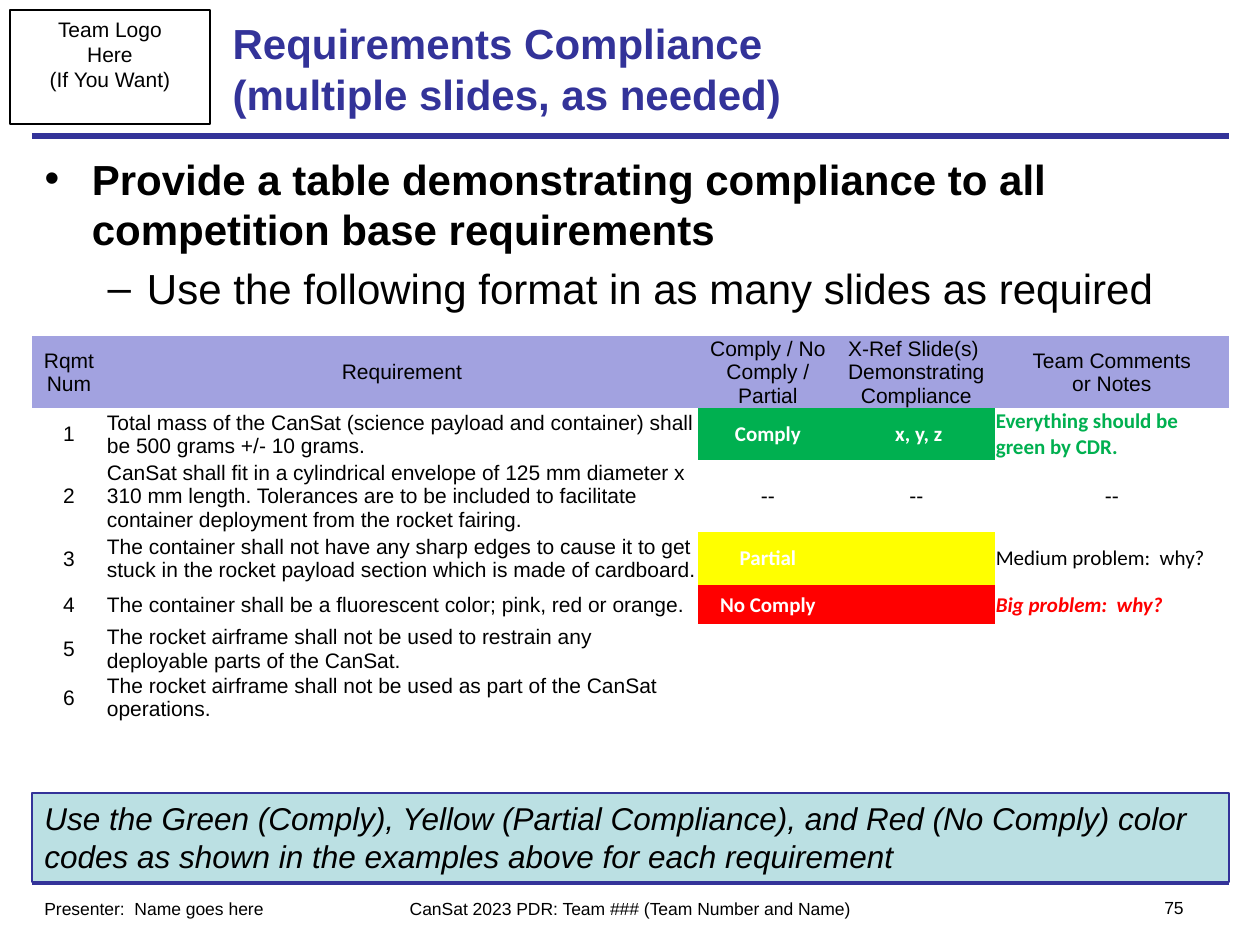
from pptx import Presentation
from pptx.dml.color import RGBColor
from pptx.enum.shapes import MSO_CONNECTOR, MSO_SHAPE
from pptx.enum.text import MSO_ANCHOR, MSO_AUTO_SIZE, PP_ALIGN
from pptx.oxml.ns import qn
from pptx.util import Inches, Pt
from lxml.etree import SubElement

COLORS = {
    "navy": "333399", "black": "000000", "white": "FFFFFF", "header": "A2A2E0",
    "green": "00B050", "yellow": "FFFF00", "red": "FF0000", "note": "BBE0E3",
}
NO_TABLE_STYLE = "{2D5ABB26-0587-4C30-8999-92F81FD0307C}"
LEFT, CENTER, RIGHT = PP_ALIGN.LEFT, PP_ALIGN.CENTER, PP_ALIGN.RIGHT


def px(length):
    return round(length * Inches(1) / 126)


def color(name):
    return RGBColor.from_string(COLORS[name])


class SlideBuilder:
    """Holds the shared style and the current slide."""

    def __init__(self, slide, font="Arial"):
        self.slide = slide
        self.font = font

    def run(self, paragraph, text, size=12, ink="black", bold=False,
            italic=False, font=None):
        run = paragraph.add_run()
        run.text = text
        run.font.name = font or self.font
        run.font.size = Pt(size)
        run.font.bold = bold
        run.font.italic = italic
        run.font.color.rgb = color(ink)

    def lines(self, frame, lines, align=LEFT, **style):
        for i, line in enumerate(lines):
            paragraph = frame.add_paragraph() if i else frame.paragraphs[0]
            paragraph.alignment = align
            self.run(paragraph, line, **style)

    def place(self, shape, left, top, width, height):
        shape.left, shape.top = px(left), px(top)
        shape.width, shape.height = px(width), px(height)
        shape.text_frame.word_wrap = True
        shape.text_frame.auto_size = MSO_AUTO_SIZE.NONE

    def title(self, box, lines):
        title = self.slide.shapes.title
        self.place(title, *box)
        title.text_frame.vertical_anchor = MSO_ANCHOR.MIDDLE
        paragraph = title.text_frame.paragraphs[0]
        paragraph.alignment = LEFT
        for i, line in enumerate(lines):
            if i:
                paragraph.add_line_break()
            self.run(paragraph, line, size=24, ink="navy", bold=True)

    def body(self, box, items):
        body = self.slide.placeholders[1]
        self.place(body, *box)
        frame = body.text_frame
        for level, item in enumerate(items):
            paragraph = frame.add_paragraph() if level else frame.paragraphs[0]
            paragraph.level = level
            paragraph.space_before = Pt(4.8 * level)
            self.run(paragraph, item, size=24, bold=level == 0)

    def rule(self, left, right, y):
        line = self.slide.shapes.add_connector(
            MSO_CONNECTOR.STRAIGHT, px(left), px(y), px(right), px(y))
        line.line.color.rgb = color("navy")
        line.line.width = Pt(3)
        SubElement(line._element.spPr, qn("a:effectLst"))

    def text(self, box, line, align=LEFT):
        label = self.slide.shapes.add_textbox(*map(px, box))
        label.text_frame.word_wrap = True
        self.lines(label.text_frame, [line], align, size=10)

    def panel(self, box, lines, outline, fill=None, align=LEFT, **style):
        panel = self.slide.shapes.add_shape(MSO_SHAPE.RECTANGLE, *map(px, box))
        panel.shadow.inherit = False
        if fill:
            panel.fill.solid()
            panel.fill.fore_color.rgb = color(fill)
        else:
            panel.fill.background()
        panel.line.color.rgb = color(outline)
        panel.line.width = Pt(0.75)
        panel.text_frame.vertical_anchor = MSO_ANCHOR.TOP
        self.lines(panel.text_frame, lines, align, **style)

    def cell(self, cell, lines=(), align=CENTER, fill=None, **style):
        cell.margin_left = cell.margin_right = cell.margin_top = px(1)
        cell.margin_bottom = 0
        cell.vertical_anchor = MSO_ANCHOR.MIDDLE
        if fill:
            cell.fill.solid()
            cell.fill.fore_color.rgb = color(fill)
        else:
            cell.fill.background()
        self.lines(cell.text_frame, lines, align, **style)

    def table(self, left, top, widths, heights, rows):
        table = self.slide.shapes.add_table(
            len(heights), len(widths), px(left), px(top),
            px(sum(widths)), px(sum(heights))).table
        table.first_row = table.horz_banding = False
        table._tbl.tblPr.find(qn("a:tableStyleId")).text = NO_TABLE_STYLE
        for column, width in zip(table.columns, widths):
            column.width = px(width)
        for row, height, contents in zip(table.rows, heights, rows):
            row.height = px(height)
            for cell, content in zip(row.cells, contents):
                self.cell(cell, **content)


def status(fill, text=None):
    return dict(lines=[text] if text else [], fill=fill, ink="white",
                bold=True, font="Calibri")


def comment(text, **style):
    return dict(lines=[text], align=LEFT, font="Calibri", **style)


HEADINGS = [
    ["Rqmt", "Num"], ["Requirement"], ["Comply / No Comply / Partial"],
    ["X-Ref Slide(s)  Demonstrating Compliance"], ["Team Comments", "or Notes"],
]
BLANK = [{}] * 3
# Each requirement with its compliance, cross-reference and comment cells
REQUIREMENTS = [
    ("Total mass of the CanSat (science payload and container) shall be 500 "
     "grams +/- 10 grams.",
     [status("green", "Comply"), status("green", " x, y, z"),
      comment("Everything should be green by CDR.", ink="green", bold=True)]),
    ("CanSat shall fit in a cylindrical envelope of 125 mm diameter x 310 mm "
     "length. Tolerances are to be included to facilitate container "
     "deployment from the rocket fairing.",
     [dict(lines=["--"])] * 3),
    ("The container shall not have any sharp edges to cause it to get stuck "
     "in the rocket payload section which is made of cardboard.",
     [status("yellow", "Partial"), status("yellow"),
      comment("Medium problem:  why?")]),
    ("The container shall be a fluorescent color; pink, red or orange.",
     [status("red", "No Comply"), status("red"),
      comment("Big problem:  why?", ink="red", bold=True, italic=True)]),
    ("The rocket airframe shall not be used to restrain any deployable parts "
     "of the CanSat.", BLANK),
    ("The rocket airframe shall not be used as part of the CanSat operations.",
     BLANK),
]


def main():
    deck = Presentation()
    deck.slide_width, deck.slide_height = Inches(10), Inches(7.5)
    page = SlideBuilder(deck.slides.add_slide(deck.slide_layouts[1]))

    # Frame: rules and team box
    for y in (882, 136):
        page.rule(32, 1229, y)
    page.panel((10, 10, 200, 114), ["Team Logo", "Here", "(If You Want)"],
               outline="black", align=CENTER)

    # Title and instructions
    page.title((220, 10, 819, 116),
               ["Requirements Compliance", "(multiple slides, as needed)"])
    page.body((32, 147, 1197, 714), [
        "Provide a table demonstrating compliance to all competition base "
        "requirements",
        "Use the following format in as many slides as required"])

    # Compliance table
    rows = [[dict(lines=heading, fill="header") for heading in HEADINGS]]
    for number, (requirement, results) in enumerate(REQUIREMENTS, 1):
        rows.append([dict(lines=[str(number)]),
                     dict(lines=[requirement], align=LEFT), *results])
    page.table(32, 336, widths=[74, 592, 140, 157, 234],
               heights=[72, 52, 71, 53, 36, 49, 47], rows=rows)

    # Color code note
    page.panel((32, 793, 1197, 89), [
        "Use the Green (Comply), Yellow (Partial Compliance), and Red (No "
        "Comply) color codes as shown in the examples above for each "
        "requirement"], outline="navy", fill="note", size=18, italic=True)

    # Footer
    page.text((32, 892, 315, 34), "Presenter:  Name goes here")
    page.text((378, 892, 504, 34),
              "CanSat 2023 PDR: Team ### (Team Number and Name)", CENTER)
    page.text((1102, 891, 94, 34), "75", RIGHT)

    deck.save("out.pptx")


if __name__ == "__main__":
    main()
